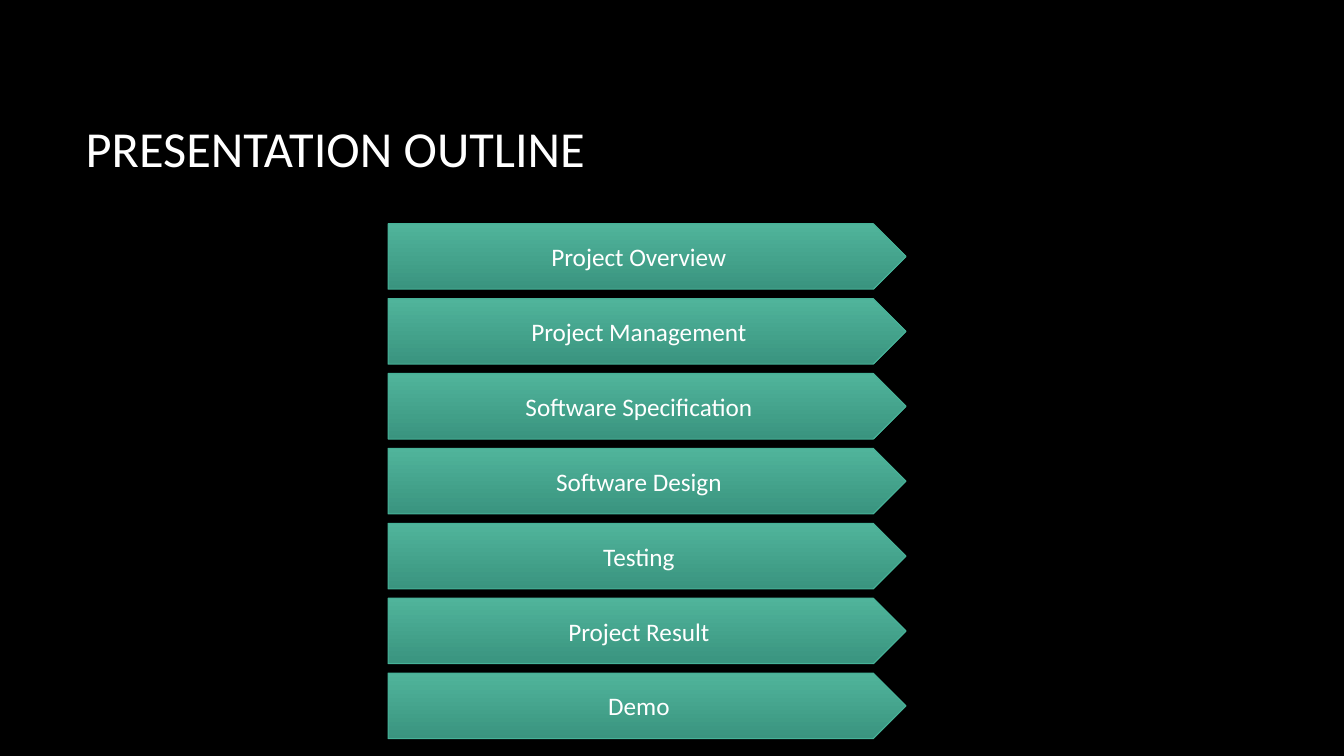
from dataclasses import dataclass

from pptx import Presentation
from pptx.dml.color import RGBColor
from pptx.enum.shapes import MSO_SHAPE
from pptx.enum.text import MSO_ANCHOR, PP_ALIGN
from pptx.util import Pt

PENTAGON = MSO_SHAPE.PENTAGON
MIDDLE = MSO_ANCHOR.MIDDLE
LEFT, CENTER = PP_ALIGN.LEFT, PP_ALIGN.CENTER


@dataclass(frozen=True)
class Theme:
    font: str = "Calibri"
    background: RGBColor = RGBColor(0x00, 0x00, 0x00)
    text: RGBColor = RGBColor(0xFF, 0xFF, 0xFF)
    arrow_top: RGBColor = RGBColor(0x50, 0xB4, 0x9B)
    arrow_bottom: RGBColor = RGBColor(0x3A, 0x94, 0x7F)
    arrow_line: RGBColor = RGBColor(0x46, 0xB2, 0x98)
    title_size: Pt = Pt(36)
    topic_size: Pt = Pt(18)


THEME = Theme()
TOPICS = [
    "Project Overview",
    "Project Management",
    "Software Specification",
    "Software Design",
    "Testing",
    "Project Result",
    "Demo",
]
ARROW_LEFT, ARROW_TOP = 277.2, 159.8
ARROW_WIDTH, ARROW_HEIGHT = 370, 46.8
ARROW_PITCH = 53.5


def write_text(shape, text, size, alignment):
    text_frame = shape.text_frame
    text_frame.text = text
    text_frame.word_wrap = True
    text_frame.vertical_anchor = MIDDLE
    paragraph = text_frame.paragraphs[0]
    paragraph.alignment = alignment
    font = paragraph.runs[0].font
    font.name = THEME.font
    font.size = size
    font.color.rgb = THEME.text


presentation = Presentation()
presentation.slide_width = Pt(960)
presentation.slide_height = Pt(540)
title_only_layout = presentation.slide_layouts[5]
slide = presentation.slides.add_slide(title_only_layout)
slide.background.fill.solid()
slide.background.fill.fore_color.rgb = THEME.background

title = slide.shapes.title
title.left, title.top = Pt(54), Pt(48.2)
title.width, title.height = Pt(798), Pt(114.5)
write_text(title, "PRESENTATION OUTLINE", THEME.title_size, LEFT)

for index, topic in enumerate(TOPICS):
    arrow = slide.shapes.add_shape(
        PENTAGON,
        Pt(ARROW_LEFT),
        Pt(ARROW_TOP + index * ARROW_PITCH),
        Pt(ARROW_WIDTH),
        Pt(ARROW_HEIGHT),
    )
    arrow.shadow.inherit = False
    arrow.fill.gradient()
    arrow.fill.gradient_angle = 270
    top_stop, bottom_stop = arrow.fill.gradient_stops
    top_stop.color.rgb = THEME.arrow_top
    bottom_stop.color.rgb = THEME.arrow_bottom
    arrow.line.color.rgb = THEME.arrow_line
    arrow.line.width = Pt(0.75)
    write_text(arrow, topic, THEME.topic_size, CENTER)

presentation.save("out.pptx")
